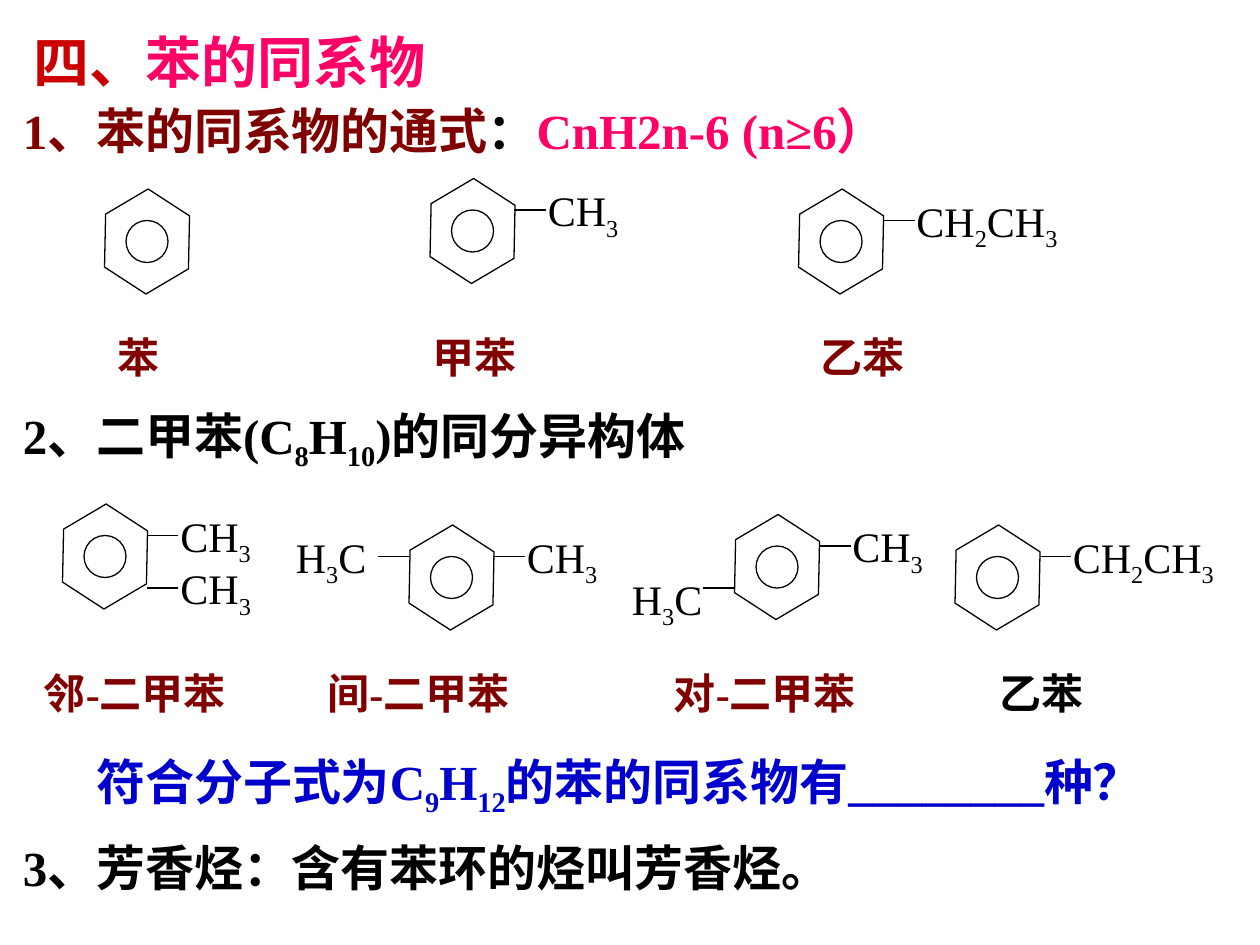
import pptx
import pptx.util
import pptx.dml.color
import pptx.enum.shapes
import pptx.enum.text
import pptx.oxml.ns
from lxml import etree

COLOURS = {"black": "000000", "white": "FFFFFF", "maroon": "800000",
           "red": "CC0000", "pink": "FF0066", "blue": "0000CC"}
SHAPES = pptx.enum.shapes.MSO_SHAPE

# Ring corner: bond start (column, row) and label corner, from the ring's corner
CORNERS = {"right": (9, 2, 11, -1), "lower right": (9, 7, 11, 4),
           "left": (-2, 2, -11, -1), "lower left": (-2, 6, -10, 4)}


class Slide:
    """Draws on a grid of 120 columns by 90 rows, 12 to the inch."""
    font = "Times New Roman"
    cell = pptx.util.Inches(1) / 12

    def __init__(self, deck):
        self.page = deck.slides.add_slide(deck.slide_layouts[6])

    def lengths(self, *cells):
        return [round(count * self.cell) for count in cells]

    def colour(self, name):
        return pptx.dml.color.RGBColor.from_string(COLOURS[name])

    def shape(self, parent, kind, place, outlined=True):
        shape = parent.shapes.add_shape(kind, *self.lengths(*place))
        shape.shadow.inherit = False
        shape.fill.solid()
        shape.fill.fore_color.rgb = self.colour("white")
        if outlined:
            shape.line.color.rgb = self.colour("black")
            shape.line.width = pptx.util.Pt(0.75)
        else:
            shape.line.fill.background()
        return shape

    def text(self, place, pieces, size=24, bold=True, filled=False, parent=None):
        """Pieces are (wording, colour); wording between ~ marks is subscript."""
        parent = parent or self.page
        if filled:
            box = self.shape(parent, SHAPES.RECTANGLE, place, outlined=False)
        else:
            box = parent.shapes.add_textbox(*self.lengths(*place))
        frame = box.text_frame
        frame.word_wrap = True
        frame.auto_size = pptx.enum.text.MSO_AUTO_SIZE.SHAPE_TO_FIT_TEXT
        frame.vertical_anchor = pptx.enum.text.MSO_ANCHOR.TOP
        para = frame.paragraphs[0]
        para.alignment = pptx.enum.text.PP_ALIGN.LEFT
        for wording, colour in pieces:
            for index, part in enumerate(wording.split("~")):
                if not part:
                    continue
                span = para.add_run()
                span.text = part
                span.font.name = self.font
                span.font.size = pptx.util.Pt(size)
                span.font.bold = bold
                span.font.color.rgb = self.colour(colour)
                if index % 2:
                    span.font._element.set("baseline", "-25000")

    def bond(self, parent, column, row):
        ends = self.lengths(column, row, column + 3, row)
        line = parent.shapes.add_connector(
            pptx.enum.shapes.MSO_CONNECTOR.STRAIGHT, *ends)
        line.line.color.rgb = self.colour("black")
        line.line.width = pptx.util.Pt(0.75)
        etree.SubElement(line._element.spPr, pptx.oxml.ns.qn("a:effectLst"))

    def molecule(self, column, row, branches):
        group = self.page.shapes.add_group_shape()
        ring = self.shape(group, SHAPES.HEXAGON, (column, row, 10, 8))
        ring.adjustments[0] = 0.31
        ring.rotation = 91.2
        self.shape(group, SHAPES.OVAL, (column + 3, row + 2, 4, 4))
        for corner, formula, width in branches:
            bond_x, bond_y, label_x, label_y = CORNERS[corner]
            self.bond(group, column + bond_x, row + bond_y)
            self.text((column + label_x, row + label_y, width, 6.7),
                      [(formula, "black")], bold=False, parent=group)


def main():
    deck = pptx.Presentation()
    deck.slide_width = pptx.util.Inches(10)
    deck.slide_height = pptx.util.Inches(7.5)
    slide = Slide(deck)

    # Title and general formula
    slide.text((2, 2, 49, 7.7), [("四、", "red"), ("苯的同系物", "pink")],
               size=32, filled=True)
    slide.text((1, 9, 101.5, 6.8),
               [("1、苯的同系物的通式", "maroon"), ("：", "black"),
                ("CnH2n-6 (n≥6）", "pink")], size=28)

    # Benzene and its homologues, then the isomers of C8H10
    methyl = ("right", "CH~3~", 12)
    ethyl = ("right", "CH~2~CH~3~", 19)
    molecules = [
        (9, 19, []),
        (40, 18, [methyl]),
        (75.1, 19, [ethyl]),
        (5, 49, [methyl, ("lower right", "CH~3~", 10)]),
        (38, 51, [methyl, ("left", "H~3~C", 10)]),
        (69, 50, [methyl, ("lower left", "H~3~C", 10)]),
        (90, 51, [ethyl]),
    ]
    for column, row, branches in molecules:
        slide.molecule(column, row, branches)

    # Names below the molecules
    names = [
        (10, 31, 10, "苯", "maroon"),
        (40, 31, 13, "甲苯", "maroon"),
        (77, 31, 17, "乙苯", "maroon"),
        (3, 63, 27, "邻-二甲苯", "maroon"),
        (30, 63, 24, "间-二甲苯", "maroon"),
        (63, 63, 23, "对-二甲苯", "maroon"),
        (94, 63, 17, "乙苯", "black"),
    ]
    for column, row, width, name, colour in names:
        slide.text((column, row, width, 6), [(name, colour)])

    # Isomer heading, question and definition
    slide.text((1, 38, 77, 7.5), [("2、二甲苯(C~8~H~10~)的同分异构体", "black")],
               size=28)
    slide.text((1, 79.2, 93, 6.8), [("3、芳香烃：含有苯环的烃叫芳香烃。", "black")],
               size=28, filled=True)
    slide.text((8, 71, 107, 7.5),
               [("符合分子式为C~9~H~12~的苯的同系物有________种？", "blue")], size=28)

    deck.save("out.pptx")


if __name__ == "__main__":
    main()
